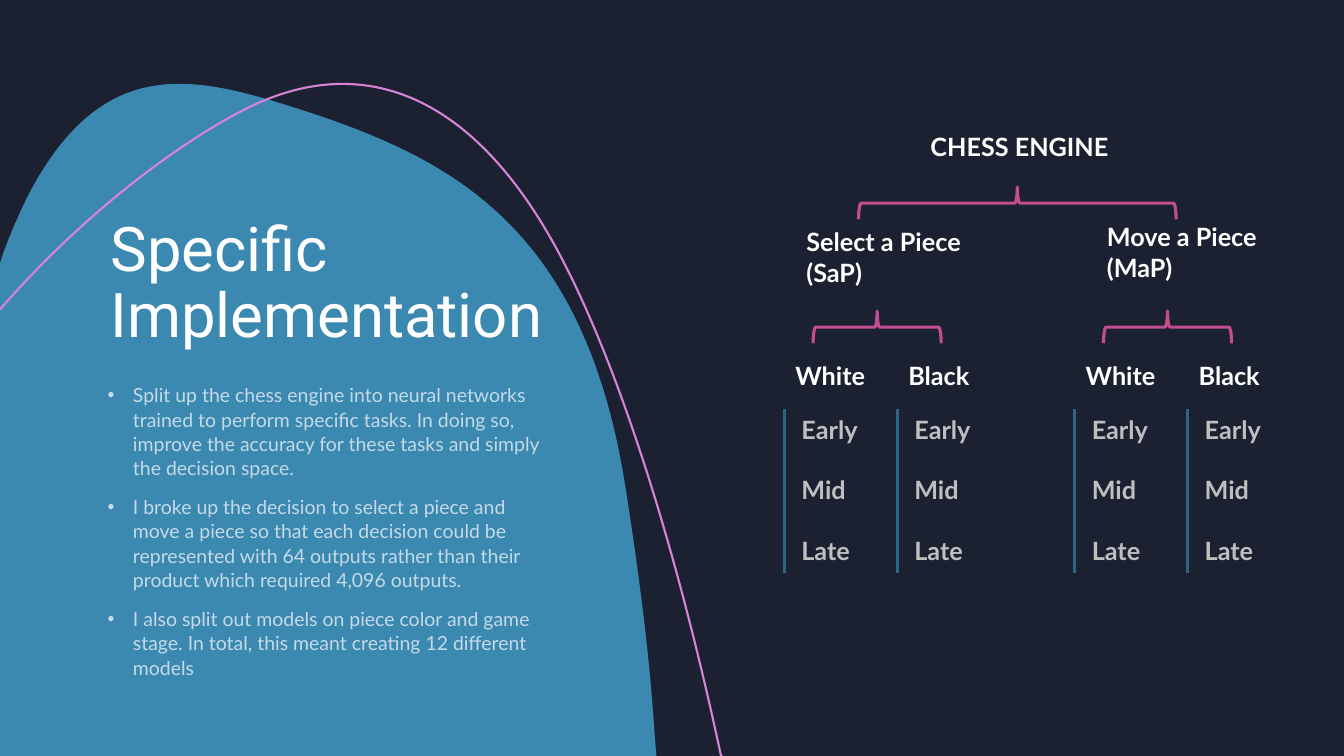
import pptx
import pptx.util
import pptx.dml.color
import pptx.enum.shapes
import pptx.enum.text
from lxml import etree

# Content
TITLE = "Specific Implementation"
POINTS = [
    "Split up the chess engine into neural networks trained to perform specific tasks. "
    "In doing so, improve the accuracy for these tasks and simply the decision space.",
    "I broke up the decision to select a piece and move a piece so that each decision could be "
    "represented with 64 outputs rather than their product which required 4,096 outputs.",
    "I also split out models on piece color and game stage. "
    "In total, this meant creating 12 different models",
]
ROOT = "CHESS ENGINE"
TASKS = [  # label, left, top, width
    ("Select a Piece (SaP)", 7.9, 2.2, 1.9),
    ("Move a Piece (MaP)", 10.88, 2.15, 1.85),
]
SIDES = ["White", "Black"]
STAGES = ["Early", "Mid", "Late"]

COLORS = {"night": "1C2131", "blue": "3B88B1", "orchid": "D684D5", "pink": "C34D90",
          "rule": "2C6685", "white": "FFFFFF", "grey": "BFBFBF"}

# Outlines: start point, then cubic segments (two controls and an end) or line ends
HILL_BOX = (0, 0.83, 6.51, 6.67)
HILL = [(6.51, 7.5), (6.49, 7.25),
        (6.44, 6.46, 6.33, 5.64, 6.2, 4.81), (5.79, 2.26, 4.5, 1.58, 2.99, 1.09),
        (1.98, 0.77, 1.06, 0.5, 0.31, 1.88), (0.21, 2.07, 0.12, 2.28, 0.04, 2.49),
        (0, 2.61), (0, 7.5)]
ARC_BOX = (0, 0.83, 7.16, 6.67)
ARC = [(7.16, 7.5), (7.15, 7.49),
       (6.71, 5.44, 6.15, 3.67, 5.57, 2.56), (4.7, 0.9, 3.61, 0.57, 2.59, 1.01),
       (2.12, 1.21, 1.03, 1.89, 0.01, 3.06), (0, 3.07)]

# Grid of the tree, in inches
SLIDE_WIDTH, SLIDE_HEIGHT = 13.33, 7.5
TREE_LEFT, TASK_PITCH, SIDE_PITCH = 7.78, 2.88, 1.12
SIDE_TOP, STAGE_TOP, STAGE_HEIGHT = 3.53, 4.06, 1.62
ROW_WIDTH, BRACE_DEPTH = 2.68, 0.32

presentation = pptx.Presentation()
presentation.slide_width = pptx.util.Inches(SLIDE_WIDTH)
presentation.slide_height = pptx.util.Inches(SLIDE_HEIGHT)
slide = presentation.slides.add_slide(presentation.slide_layouts[6])


def color(name):
    return pptx.dml.color.RGBColor.from_string(COLORS[name])


def inches(*values):
    return [pptx.util.Inches(value) for value in values]


def add_xml(parent, tag, **attributes):
    child = etree.SubElement(parent, pptx.oxml.ns.qn(tag))
    for key, value in attributes.items():
        child.set(key, str(value))
    return child


def add_text(paragraphs, left, top, width, height, size=18, font="Lato", fill="white",
             bold=False, anchor="TOP", line_spacing=None, space_before=0,
             bullet=False, opacity=None, tab=None):
    box = slide.shapes.add_textbox(*inches(left, top, width, height))
    frame = box.text_frame
    frame.word_wrap = True
    frame.vertical_anchor = getattr(pptx.enum.text.MSO_ANCHOR, anchor)
    for index, text in enumerate(paragraphs):
        paragraph = frame.paragraphs[0] if index == 0 else frame.add_paragraph()
        if line_spacing:
            paragraph.line_spacing = line_spacing
        if index:
            paragraph.space_before = pptx.util.Pt(space_before)
        run = paragraph.add_run()
        run.text = text
        run.font.size = pptx.util.Pt(size)
        run.font.name = font
        run.font.bold = bold
        run.font.color.rgb = color(fill)
        if opacity:
            solid = run.font.fill._xPr.find(pptx.oxml.ns.qn("a:solidFill"))
            add_xml(solid[0], "a:alpha", val=opacity * 1000)
        properties = paragraph._p.get_or_add_pPr()
        if bullet:
            indent = pptx.util.Inches(0.25)
            properties.set("marL", str(indent))
            properties.set("indent", str(-indent))
            add_xml(properties, "a:buFont", typeface="Arial")
            add_xml(properties, "a:buChar", char="•")
        if tab:
            stops = add_xml(properties, "a:tabLst")
            add_xml(stops, "a:tab", pos=pptx.util.Inches(tab), algn="l")


def add_outline(outline, box, closed):
    """Build the outline from its end points, then bend the segments that have controls."""
    ends = [inches(*segment[-2:]) for segment in outline]
    builder = slide.shapes.build_freeform(*ends[0])
    builder.add_line_segments(ends[1:], close=closed)
    shape = builder.convert_to_shape()
    shape.shadow.inherit = False
    shape.left, shape.top, shape.width, shape.height = inches(*box)
    course = next(shape._element.iter(pptx.oxml.ns.qn("a:path")))
    course.set("w", str(shape.width))
    course.set("h", str(shape.height))
    for command, segment in zip(course, outline):
        for point in list(command):
            command.remove(point)
        if len(segment) == 6:
            command.tag = pptx.oxml.ns.qn("a:cubicBezTo")
        for x, y in zip(segment[::2], segment[1::2]):
            add_xml(command, "a:pt", x=pptx.util.Inches(x) - shape.left,
                    y=pptx.util.Inches(y) - shape.top)
    return shape


def add_brace(left, top, span):
    brace = slide.shapes.add_shape(pptx.enum.shapes.MSO_SHAPE.RIGHT_BRACE,
                                   *inches(left, top, BRACE_DEPTH, span))
    brace.rotation = 270
    brace.shadow.inherit = False
    brace.fill.background()
    brace.line.color.rgb = color("pink")
    brace.line.width = pptx.util.Pt(2.25)


def add_rule(x, top, bottom):
    rule = slide.shapes.add_connector(pptx.enum.shapes.MSO_CONNECTOR.STRAIGHT,
                                      *inches(x, top, x, bottom))
    rule.line.color.rgb = color("rule")
    rule.line.width = pptx.util.Pt(2.25)
    add_xml(rule._element.spPr, "a:effectLst")


# Backdrop
slide.background.fill.solid()
slide.background.fill.fore_color.rgb = color("night")
hill = add_outline(HILL, HILL_BOX, closed=True)
hill.fill.solid()
hill.fill.fore_color.rgb = color("blue")
hill.line.fill.background()
arc = add_outline(ARC, ARC_BOX, closed=False)
arc.fill.background()
arc.line.color.rgb = color("orchid")
arc.line.width = pptx.util.Pt(1.5)

# Title and points
add_text([TITLE], 1, 1.03, 5, 2.5, size=44, font="Roboto", anchor="BOTTOM", line_spacing=0.9)
add_text(POINTS, 0.97, 3.74, 4.49, 3.34, size=13.9, line_spacing=1.05, space_before=10,
         bullet=True, opacity=70)

# Tree: engine, tasks, sides, stages
add_text([ROOT], 9.13, 1.25, 2.32, 0.4, bold=True)
add_brace(9.93, 0.44, 3.15)
for task, (label, left, top, width) in enumerate(TASKS):
    task_left = TREE_LEFT + task * TASK_PITCH
    add_text([label], left, top, width, 0.71, bold=True)
    add_brace(task_left + 0.76, 2.61, 1.27)
    add_text(["\t".join(SIDES)], task_left + 0.01, SIDE_TOP, ROW_WIDTH, 0.4,
             bold=True, tab=SIDE_PITCH)
    add_text([f"{stage}\t{stage}" for stage in STAGES], task_left + 0.07, STAGE_TOP,
             ROW_WIDTH, STAGE_HEIGHT, fill="grey", bold=True, space_before=21.6, tab=SIDE_PITCH)
    for side in range(len(SIDES)):
        add_rule(task_left + side * SIDE_PITCH, STAGE_TOP, STAGE_TOP + STAGE_HEIGHT)

presentation.save("out.pptx")
